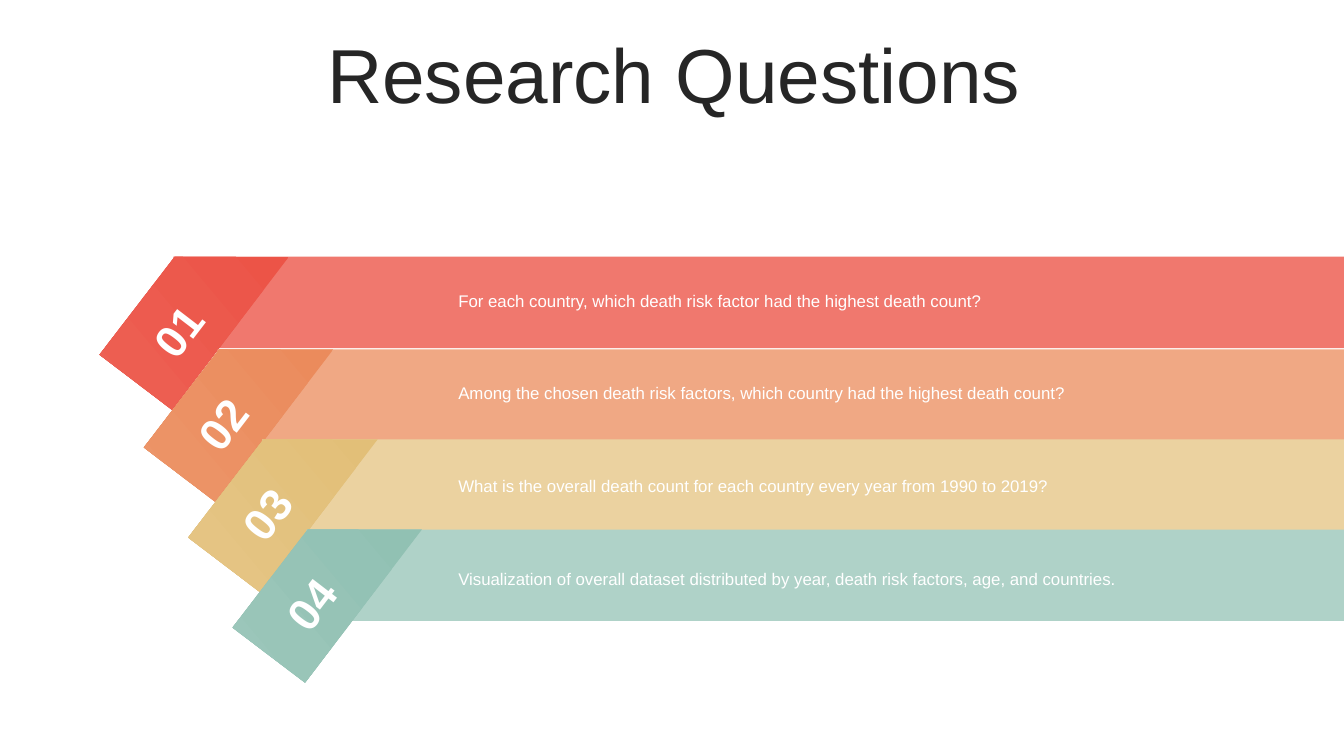
import dataclasses

import pptx
import pptx.dml.color
import pptx.enum.shapes
import pptx.enum.text
import pptx.util

Inches = pptx.util.Inches
Align = pptx.enum.text.PP_ALIGN
Anchor = pptx.enum.text.MSO_ANCHOR


@dataclasses.dataclass(frozen=True)
class Theme:
    font: str = "Arial"
    title_size: int = 41
    number_size: int = 24
    question_size: int = 9
    title_color: str = "262626"
    text_color: str = "FFFFFF"
    rows: tuple = (
        ("F0786E", "EC5447", "ED6054"),
        ("F0A884", "EB8B5C", "EC9569"),
        ("EBD2A0", "E2BF78", "E5C585"),
        ("AFD2C8", "91C1B3", "9BC6BA"),
    )


THEME = Theme()
SLIDE_WIDTH = 10
SLIDE_HEIGHT = SLIDE_WIDTH * 9 / 16
QUESTIONS = (
    "For each country, which death risk factor had the highest death count?",
    "Among the chosen death risk factors, which country had the highest death count?",
    "What is the overall death count for each country every year from 1990 to 2019?",
    "Visualization of overall dataset distributed by year, death risk factors, age, and countries.",
)
ROW_LEFT, ROW_HEIGHT, ROW_SHIFT = 0.74, 0.68, 0.33
ROW_TOPS = (1.91, 2.6, 3.27, 3.94)
QUESTION_LEFT, QUESTION_TOP, QUESTION_PITCH = 3.34, 2.12, 0.69
TAB_OUTLINE = ((0, 0.73), (0.54, 1.14), (1.41, 0), (0.56, 0))


def rgb(color):
    return pptx.dml.color.RGBColor.from_string(color)


def write(shape, text, size, color, alignment, anchor, bold=False):
    frame = shape.text_frame
    frame.text = text
    frame.word_wrap = True
    frame.auto_size = pptx.enum.text.MSO_AUTO_SIZE.NONE
    frame.vertical_anchor = anchor
    frame.margin_left = frame.margin_right = Inches(0.07)
    frame.margin_top = frame.margin_bottom = Inches(0.04)
    paragraph = frame.paragraphs[0]
    paragraph.alignment = alignment
    paragraph.font.name = THEME.font
    paragraph.font.size = pptx.util.Pt(size)
    paragraph.font.bold = bold
    paragraph.font.color.rgb = rgb(color)
    return paragraph


def add_title(slide, text, left, top, width, height):
    title = slide.shapes.title
    title.left, title.top = Inches(left), Inches(top)
    title.width, title.height = Inches(width), Inches(height)
    paragraph = write(title, text, THEME.title_size, THEME.title_color,
                      Align.CENTER, Anchor.MIDDLE)
    paragraph.line_spacing = 0.9


def add_band(slide, colors, left, top, width, height):
    bar_color, tab_start, tab_end = colors
    group = slide.shapes.add_group_shape()

    bar_offset = 0.55
    bar = group.shapes.add_shape(
        pptx.enum.shapes.MSO_SHAPE.RECTANGLE,
        Inches(left + bar_offset), Inches(top),
        Inches(width - bar_offset), Inches(height))
    bar.fill.solid()
    bar.fill.fore_color.rgb = rgb(bar_color)

    points = [(Inches(left + x), Inches(top + y)) for x, y in TAB_OUTLINE]
    builder = group.shapes.build_freeform(*points[0])
    builder.add_line_segments(points[1:], close=True)
    tab = builder.convert_to_shape()
    tab.fill.gradient()
    tab.fill.gradient_angle = 220
    for stop, color in zip(tab.fill.gradient_stops, (tab_start, tab_end)):
        stop.color.rgb = rgb(color)

    for shape in (bar, tab):
        shape.line.fill.background()
        shape.shadow.inherit = False


def add_number(slide, number, left, top, width, height):
    number_box = slide.shapes.add_textbox(
        Inches(left), Inches(top), Inches(width), Inches(height))
    number_box.rotation = 307.5
    write(number_box, f"{number:02}", THEME.number_size, THEME.text_color,
          Align.CENTER, Anchor.TOP, bold=True)


def add_question(slide, question, left, top, width, height):
    question_box = slide.shapes.add_textbox(
        Inches(left), Inches(top), Inches(width), Inches(height))
    write(question_box, question, THEME.question_size, THEME.text_color,
          Align.LEFT, Anchor.TOP)


def main():
    presentation = pptx.Presentation()
    presentation.slide_width = Inches(SLIDE_WIDTH)
    presentation.slide_height = Inches(SLIDE_HEIGHT)
    slide = presentation.slides.add_slide(presentation.slide_layouts[5])

    add_title(slide, "Research Questions", 0.27, 0.29, 9.49, 0.59)
    lefts = [ROW_LEFT + index * ROW_SHIFT for index in range(len(ROW_TOPS))]
    for colors, left, top in zip(THEME.rows, lefts, ROW_TOPS):
        add_band(slide, colors, left, top, SLIDE_WIDTH - left, ROW_HEIGHT)
    for number, (left, top) in enumerate(zip(lefts, ROW_TOPS), start=1):
        add_number(slide, number, left + 0.18, top + 0.31, 0.8, 0.48)
    for index, question in enumerate(QUESTIONS):
        top = QUESTION_TOP + index * QUESTION_PITCH
        add_question(slide, question, QUESTION_LEFT, top, 5.56, 0.23)

    presentation.save("out.pptx")


if __name__ == "__main__":
    main()
